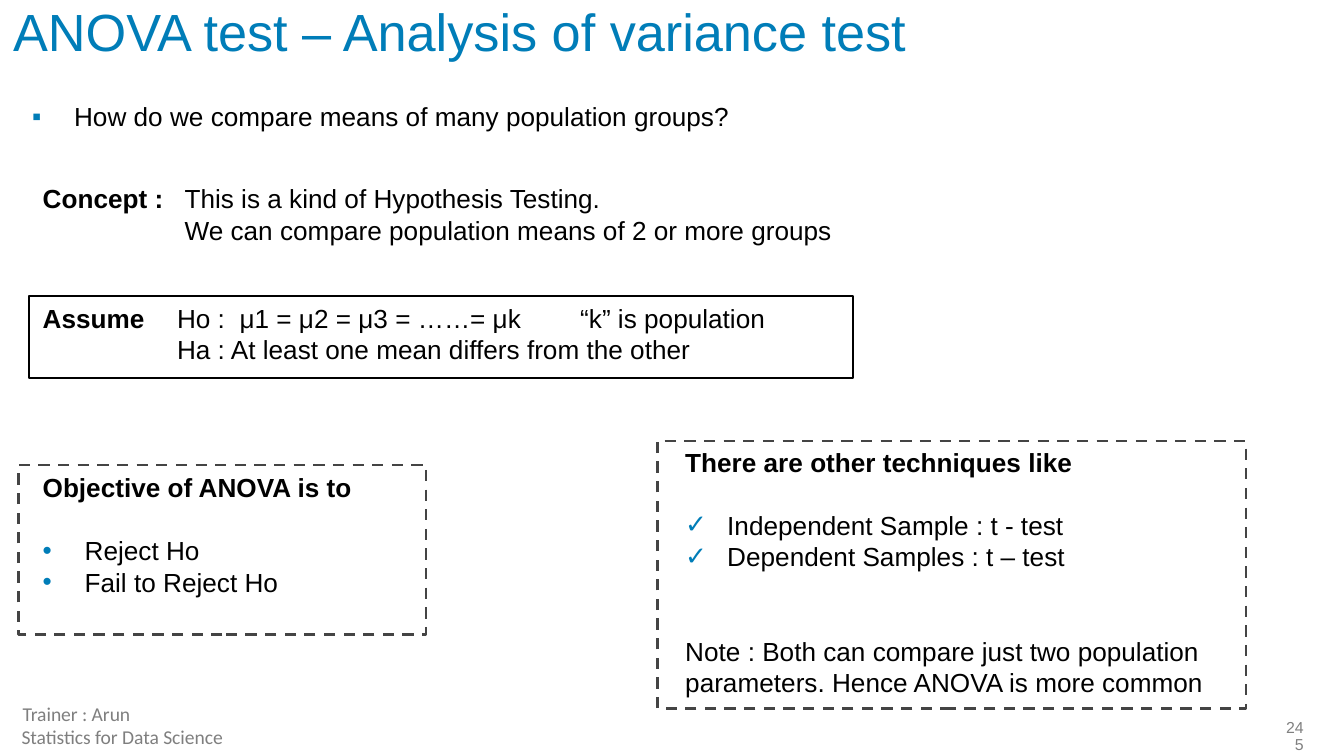
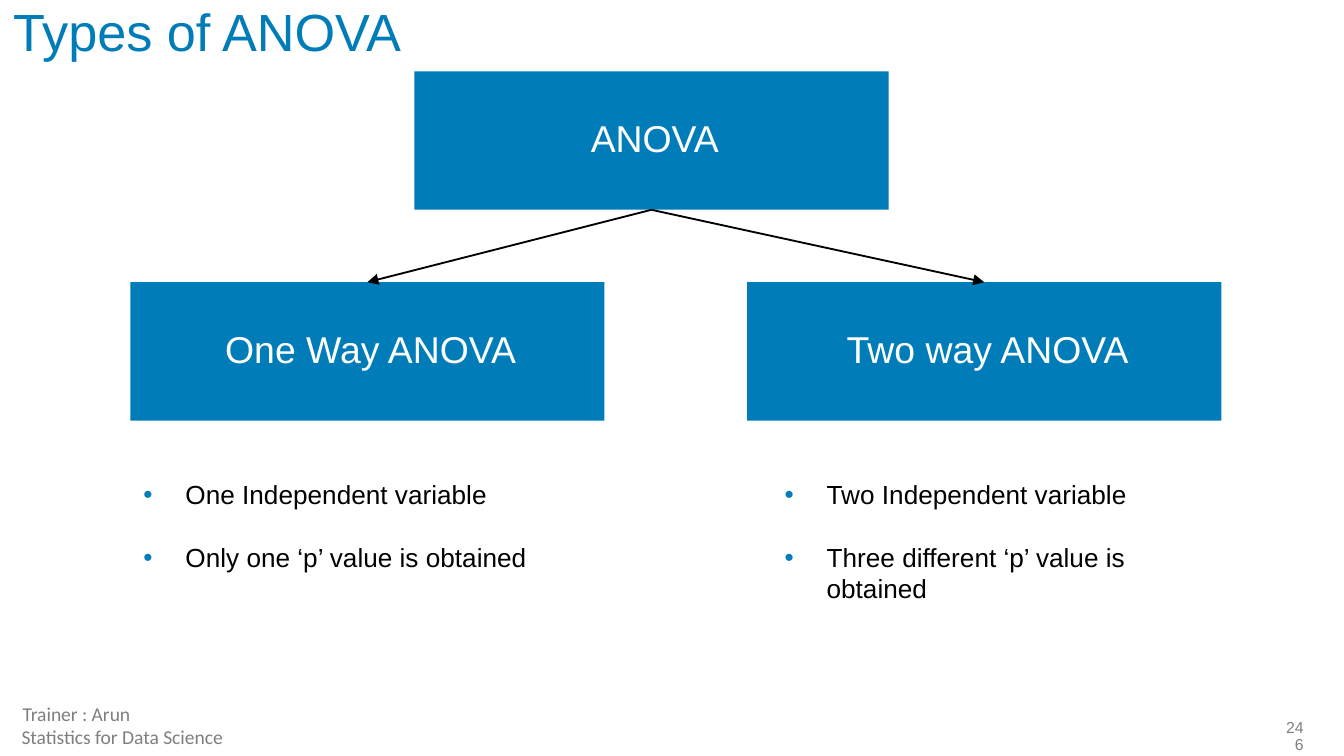
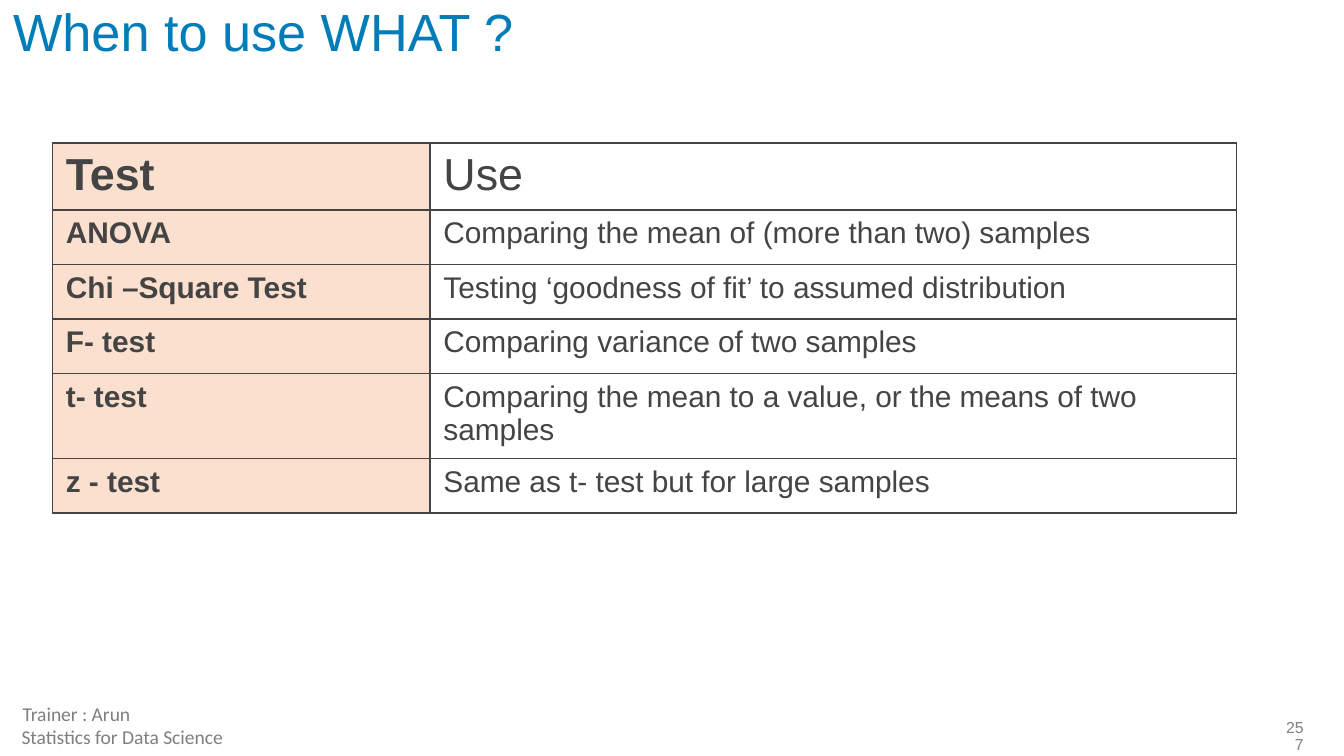
from lxml.etree import SubElement
from pptx import Presentation
from pptx.dml.color import RGBColor
from pptx.enum.dml import MSO_LINE
from pptx.enum.shapes import MSO_CONNECTOR, MSO_SHAPE
from pptx.enum.text import MSO_ANCHOR, PP_ALIGN
from pptx.oxml.ns import qn
from pptx.util import Pt

BLUE, BLACK, WHITE = "007DB8", "000000", "FFFFFF"
SLATE, PEACH, GRAY, FOOTER_GRAY = "444444", "FCE0CF", "808080", "7F7F7F"
BULLET_INDENT = 22.5
BLANK_LINE = 17


def color(value):
    return RGBColor.from_string(value)


def add_color(parent, value):
    SubElement(parent, qn("a:srgbClr"), val=value)


class SlideWriter:
    """Holds the shared style and draws elements on the current slide."""

    def __init__(self):
        self.deck = Presentation()
        self.deck.slide_width, self.deck.slide_height = Pt(720), Pt(405)
        self.page = None

    def start(self, title, number):
        self.page = self.deck.slides.add_slide(self.deck.slide_layouts[6])
        centered = dict(size=10.5, font="Calibri", ink=FOOTER_GRAY, align=PP_ALIGN.CENTER)
        box = self.frame(687.6, 390.2, 10.8, 9.4, inset=0, anchor=MSO_ANCHOR.MIDDLE)
        self.para(box, [(number, False)], size=8.5, ink=GRAY, align=PP_ALIGN.RIGHT, spacing=0.9)
        for words, left, top, width in (
            ("Trainer : Arun", -5.8, 375.8, 93.6),
            ("Statistics for Data Science", 0, 388.1, 131),
        ):
            box = self.frame(left, top, width, 13, inset=0, anchor=MSO_ANCHOR.MIDDLE)
            self.para(box, [(words, False)], **centered)
        box = self.frame(0, 0, 648, 50.4)
        self.para(box, [(title, False)], size=28, ink=BLUE, spacing=0.9)

    def frame(self, left, top, width, height, inset=None, anchor=MSO_ANCHOR.TOP):
        box = self.page.shapes.add_textbox(Pt(left), Pt(top), Pt(width), Pt(height)).text_frame
        box.word_wrap = True
        box.vertical_anchor = anchor
        if inset is not None:
            box.margin_left = box.margin_right = box.margin_top = box.margin_bottom = Pt(inset)
        return box

    def para(self, box, spans, size=14, font="Arial", ink=BLACK, align=None,
             spacing=None, before=0, bullet=None, tabs=()):
        para = box.paragraphs[0]
        if para.runs:
            para = box.add_paragraph()
        properties = para._p.get_or_add_pPr()
        if bullet:
            properties.set("marL", str(Pt(BULLET_INDENT)))
            properties.set("indent", str(-Pt(BULLET_INDENT)))
            add_color(SubElement(properties, qn("a:buClr")), BLUE)
            SubElement(properties, qn("a:buFont"), typeface="Arial")
            SubElement(properties, qn("a:buChar"), char=bullet)
        if tabs:
            stops = SubElement(properties, qn("a:tabLst"))
            for stop in tabs:
                SubElement(stops, qn("a:tab"), pos=str(Pt(stop)), algn="l")
        if align is not None:
            para.alignment = align
        if spacing:
            para.line_spacing = spacing
        if before:
            para.space_before = Pt(before)
        for words, bold in spans:
            span = para.add_run()
            span.text = words
            span.font.name, span.font.size, span.font.bold = font, Pt(size), bold
            span.font.color.rgb = color(ink)

    def bullets(self, box, items, mark="•", first=0, gap=0):
        for index, words in enumerate(items):
            self.para(box, [(words, False)], bullet=mark, before=gap if index else first)

    def rectangle(self, left, top, width, height):
        shape = self.page.shapes.add_shape(
            MSO_SHAPE.RECTANGLE, Pt(left), Pt(top), Pt(width), Pt(height))
        shape.shadow.inherit = False
        return shape

    def outline(self, left, top, width, height, ink, weight, dash=None):
        shape = self.rectangle(left, top, width, height)
        shape.fill.background()
        shape.line.color.rgb = color(ink)
        shape.line.width = Pt(weight)
        if dash:
            shape.line.dash_style = dash

    def block(self, words, left, top, width=254, height=74.2):
        shape = self.rectangle(left, top, width, height)
        shape.fill.solid()
        shape.fill.fore_color.rgb = color(BLUE)
        shape.line.fill.background()
        box = shape.text_frame
        box.word_wrap = True
        box.vertical_anchor = MSO_ANCHOR.MIDDLE
        box.margin_left = Pt(14.4)
        box.margin_right = box.margin_top = box.margin_bottom = Pt(10.8)
        self.para(box, [(words, False)], size=20, ink=WHITE, align=PP_ALIGN.CENTER, spacing=0.9)
        return shape

    def arrow(self, parent, child):
        connector = self.page.shapes.add_connector(MSO_CONNECTOR.STRAIGHT, 0, 0, 0, 0)
        connector.begin_connect(parent, 2)
        connector.end_connect(child, 0)
        connector.line.color.rgb = color(BLACK)
        connector.line.width = Pt(1)
        SubElement(connector.line._get_or_add_ln(), qn("a:tailEnd"), type="triangle")
        SubElement(connector._element.spPr, qn("a:effectLst"))

    def border(self, cell):
        properties = cell._tc.get_or_add_tcPr()
        for side in ("lnL", "lnR", "lnT", "lnB"):
            edge = SubElement(properties, qn("a:" + side), w=str(Pt(1)))
            add_color(SubElement(edge, qn("a:solidFill")), SLATE)

    def table(self, rows, left, top, widths, row_height):
        table = self.page.shapes.add_table(
            len(rows), len(widths), Pt(left), Pt(top),
            Pt(sum(widths)), Pt(row_height * len(rows))).table
        table.first_row = table.horz_banding = False
        for column, width in zip(table.columns, widths):
            column.width = Pt(width)
        for row_index, row in enumerate(rows):
            table.rows[row_index].height = Pt(row_height)
            for column_index, words in enumerate(row):
                cell = table.cell(row_index, column_index)
                is_name = column_index == 0
                self.border(cell)
                if is_name:
                    cell.fill.solid()
                    cell.fill.fore_color.rgb = color(PEACH)
                else:
                    cell.fill.background()
                self.para(cell.text_frame, [(words, is_name)],
                          size=16 if row_index else 24, ink=SLATE)


def anova_test(writer):
    writer.start("ANOVA test – Analysis of variance test", "245")
    question = writer.frame(10.1, 50.4, 447, 24.5)
    writer.bullets(question, ["How do we compare means of many population groups?"], "▪")

    concept = writer.frame(15.8, 94.3, 651.6, 41)
    writer.para(concept, [("Concept :", True), ("\tThis is a kind of Hypothesis Testing.", False)],
                tabs=[76])
    writer.para(concept, [("\tWe can compare population means of 2 or more groups", False)],
                tabs=[76])

    assume = writer.frame(15.8, 158.4, 436.3, 41)
    stops = [72, 105.5, 288]
    writer.para(assume, [("Assume", True),
                         ("\tHo :\tμ1 = μ2 = μ3 = ……= μk\t“k” is population", False)], tabs=stops)
    writer.para(assume, [("\tHa : At least one mean differs from the other", False)], tabs=stops)

    objective = writer.frame(15.8, 249.1, 199.4, 74.9)
    writer.para(objective, [("Objective of ANOVA is to", True)])
    writer.bullets(objective, ["Reject Ho", "Fail to Reject Ho"], first=BLANK_LINE)

    others = writer.frame(360, 235.4, 329.8, 143.3)
    writer.para(others, [("There are other techniques like", True)])
    writer.bullets(others, ["Independent Sample : t - test", "Dependent Samples : t – test"],
                   "✓", first=BLANK_LINE)
    writer.para(others, [("Note : Both can compare just two population parameters. "
                          "Hence ANOVA is more common", False)], before=2 * BLANK_LINE)

    writer.outline(10.1, 249.1, 218.2, 90.7, SLATE, 1.5, MSO_LINE.DASH)
    writer.outline(352.1, 236.2, 315.4, 143.3, SLATE, 1.5, MSO_LINE.DASH)
    writer.outline(15.8, 158.4, 441.4, 43.9, BLACK, 1)


def anova_types(writer):
    writer.start("Types of ANOVA", "246")
    root = writer.block("ANOVA", 222, 38.2)
    kinds = [writer.block("One Way ANOVA", 69.8, 151.2),
             writer.block("Two way ANOVA", 400.3, 151.2)]
    for kind in kinds:
        writer.arrow(root, kind)
    for left, height, traits in (
        (69.8, 58.3, ["One Independent variable", "Only one ‘p’ value is obtained"]),
        (413.3, 74.9, ["Two Independent variable", "Three different ‘p’ value is obtained"]),
    ):
        writer.bullets(writer.frame(left, 252.7, 240.5, height), traits, gap=BLANK_LINE)


def when_to_use(writer):
    writer.start("When to use WHAT ?", "257")
    writer.table([
        ("Test", "Use"),
        ("ANOVA", "Comparing the mean of (more than two) samples"),
        ("Chi –Square Test", "Testing ‘goodness of fit’ to assumed distribution"),
        ("F- test", "Comparing variance of two samples"),
        ("t- test", "Comparing the mean to a value, or the means of two samples"),
        ("z - test", "Same as t- test but for large samples"),
    ], 28.1, 76.5, [202.3, 432], 29.2)


def main():
    writer = SlideWriter()
    for build in (anova_test, anova_types, when_to_use):
        build(writer)
    writer.deck.save("out.pptx")


if __name__ == "__main__":
    main()
